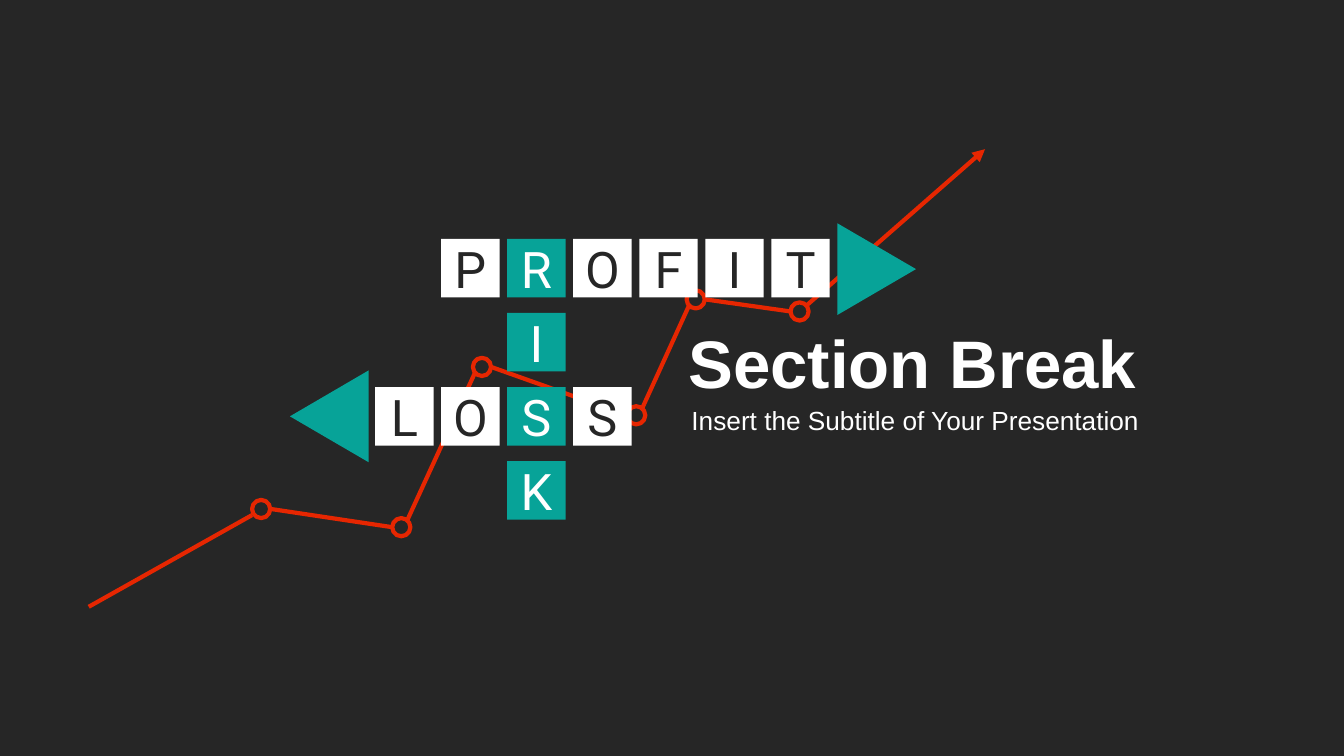
from typing import NamedTuple

from lxml.etree import SubElement
from pptx import Presentation
from pptx.dml.color import RGBColor
from pptx.enum.shapes import MSO_CONNECTOR as Connector, MSO_SHAPE as Shape
from pptx.enum.text import MSO_ANCHOR as Anchor, MSO_AUTO_SIZE as AutoSize, PP_ALIGN as Align
from pptx.oxml.ns import qn
from pptx.shapes.autoshape import Shape as AutoShape
from pptx.shapes.shapetree import GroupShapes
from pptx.text.text import TextFrame
from pptx.util import Inches, Pt

COLORS = {"dark": "262626", "white": "FFFFFF", "teal": "07A398", "red": "E62601"}
MARKER_SIZE = 0.18
TILE_SIZE = 0.58
GRID_LEFT, GRID_TOP = 3.72, 2.37
COLUMN_STEP, ROW_STEP = 0.655, 0.735
RISK_COLUMN = 2


class Point(NamedTuple):
    x: float
    y: float


class Segment(NamedTuple):
    start: Point
    end: Point
    arrow: bool = False


class Word(NamedTuple):
    letters: str
    column: int
    row: int


class Arrowhead(NamedTuple):
    left: float
    top: float
    rotation: int


class Caption(NamedTuple):
    text: str
    left: float
    top: float
    height: float
    size: float
    bold: bool


MARKERS = [
    Point(2.5, 4.96), Point(3.89, 5.14), Point(4.69, 3.55),
    Point(6.22, 4.03), Point(6.81, 2.88), Point(7.84, 3),
]
SEGMENTS = [
    Segment(Point(0.88, 6.02), Point(2.5, 5.11)),
    Segment(Point(2.69, 5.05), Point(3.89, 5.23)),
    Segment(Point(4.04, 5.16), Point(4.71, 3.7)),
    Segment(Point(4.87, 3.64), Point(6.22, 4.12)),
    Segment(Point(6.37, 4.05), Point(6.83, 3.04)),
    Segment(Point(6.99, 2.97), Point(7.84, 3.09)),
    Segment(Point(8, 3.03), Point(9.77, 1.48), arrow=True),
]
CAPTIONS = [
    Caption("Section Break", 6.73, 3.13, 0.91, 48, True),
    Caption("Insert the Subtitle of Your Presentation", 6.76, 3.96, 0.42, 18.7, False),
]
ACROSS_WORDS = [Word("PROFIT", 1, 0), Word("LOSS", 0, 2)]
RISK_LETTERS = "RISK"
ARROWHEADS = [Arrowhead(8.24, 2.28, 90), Arrowhead(2.81, 3.74, 270)]


def color(name: str) -> RGBColor:
    return RGBColor.from_string(COLORS[name])


def add_filled(shapes: GroupShapes, kind: Shape, left: float, top: float,
               width: float, height: float, fill: str) -> AutoShape:
    """Add a shape with a solid fill, no outline and no shadow."""
    shape = shapes.add_shape(kind, Inches(left), Inches(top), Inches(width), Inches(height))
    shape.shadow.inherit = False
    shape.fill.solid()
    shape.fill.fore_color.rgb = color(fill)
    shape.line.fill.background()
    return shape


def write_text(frame: TextFrame, text: str, font: str, size: float,
               ink: str, align: Align, bold: bool = False) -> None:
    frame.vertical_anchor = Anchor.MIDDLE
    para = frame.paragraphs[0]
    para.alignment = align
    span = para.add_run()
    span.text = text
    span.font.name = font
    span.font.size = Pt(size)
    span.font.bold = bold
    span.font.color.rgb = color(ink)


def add_marker(shapes: GroupShapes, marker: Point) -> None:
    ring = shapes.add_shape(Shape.OVAL, Inches(marker.x), Inches(marker.y),
                            Inches(MARKER_SIZE), Inches(MARKER_SIZE))
    ring.shadow.inherit = False
    ring.fill.background()
    ring.line.color.rgb = color("red")
    ring.line.width = Pt(3)


def add_segment(shapes: GroupShapes, segment: Segment) -> None:
    connector = shapes.add_connector(
        Connector.STRAIGHT, Inches(segment.start.x), Inches(segment.start.y),
        Inches(segment.end.x), Inches(segment.end.y))
    connector.line.color.rgb = color("red")
    connector.line.width = Pt(3)
    if segment.arrow:
        SubElement(connector.line._get_or_add_ln(), qn("a:tailEnd"), type="triangle")
    SubElement(connector._element.spPr, qn("a:effectLst"))


def add_caption(shapes: GroupShapes, caption: Caption) -> None:
    box = shapes.add_textbox(Inches(caption.left), Inches(caption.top),
                             Inches(5.22), Inches(caption.height))
    box.text_frame.word_wrap = True
    box.text_frame.auto_size = AutoSize.SHAPE_TO_FIT_TEXT
    write_text(box.text_frame, caption.text, "Arial", caption.size, "white",
               Align.LEFT, caption.bold)


def add_tile(shapes: GroupShapes, letter: str, column: int, row: int) -> None:
    fill, ink = ("teal", "white") if column == RISK_COLUMN else ("white", "dark")
    tile = add_filled(shapes, Shape.RECTANGLE, GRID_LEFT + column * COLUMN_STEP,
                      GRID_TOP + row * ROW_STEP, TILE_SIZE, TILE_SIZE, fill)
    write_text(tile.text_frame, letter, "Roboto", 36, ink, Align.CENTER)


def add_crossword(shapes: GroupShapes) -> None:
    tiles = {(RISK_COLUMN, row): letter for row, letter in enumerate(RISK_LETTERS)}
    for word in ACROSS_WORDS:
        for offset, letter in enumerate(word.letters):
            tiles[word.column + offset, word.row] = letter
    for (column, row), letter in tiles.items():
        add_tile(shapes, letter, column, row)
    for head in ARROWHEADS:
        triangle = add_filled(shapes, Shape.ISOSCELES_TRIANGLE, head.left, head.top,
                              0.91, 0.78, "teal")
        triangle.rotation = head.rotation


def main() -> None:
    deck = Presentation()
    deck.slide_width, deck.slide_height = Inches(13.33), Inches(7.5)
    page = deck.slides.add_slide(deck.slide_layouts[6])
    page.background.fill.solid()
    page.background.fill.fore_color.rgb = color("dark")

    trend = page.shapes.add_group_shape().shapes
    for marker in MARKERS:
        add_marker(trend, marker)
    for segment in SEGMENTS:
        add_segment(trend, segment)

    heading = page.shapes.add_group_shape().shapes
    for caption in CAPTIONS:
        add_caption(heading, caption)

    add_crossword(page.shapes.add_group_shape().shapes)
    deck.save("out.pptx")


if __name__ == "__main__":
    main()
